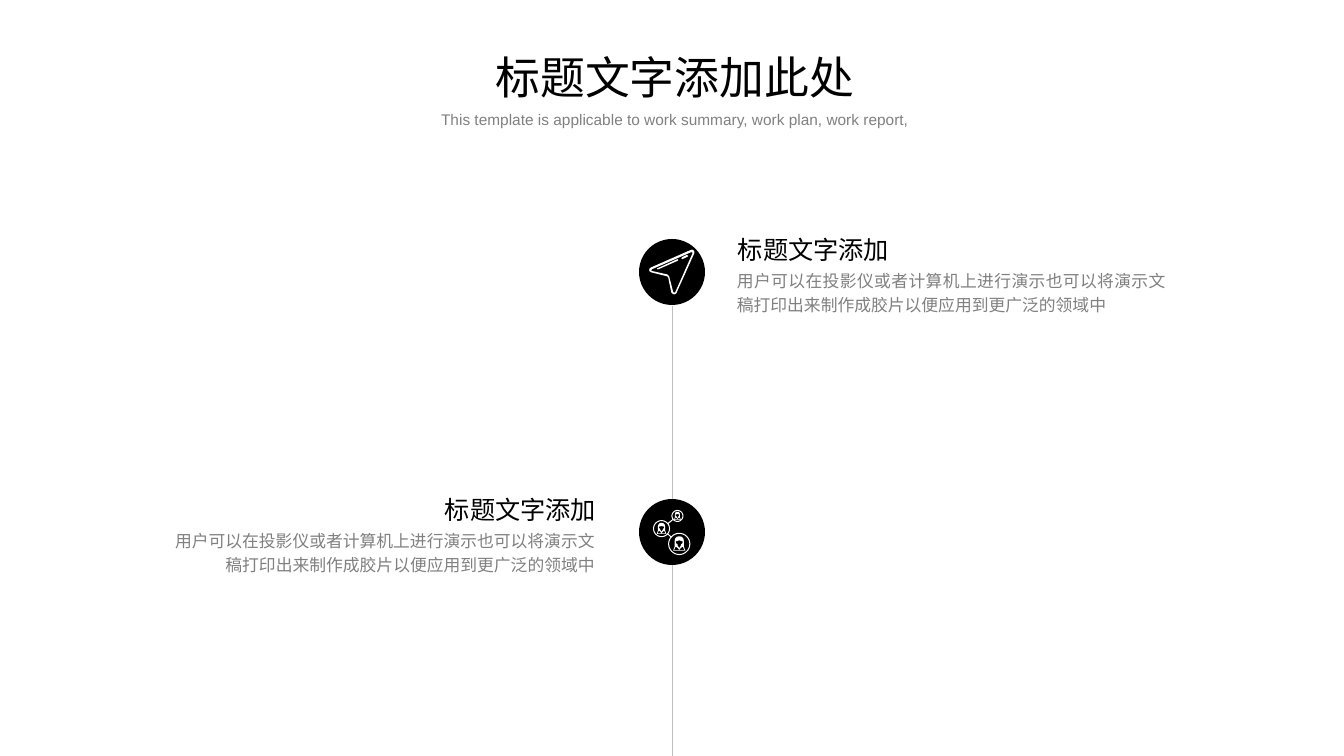
import math
from itertools import combinations

from lxml import etree
from pptx import Presentation
from pptx import util as u
from pptx.dml.color import RGBColor
from pptx.enum import shapes, text
from pptx.oxml.ns import qn

PX = 914400 / 100.8
WIDTH, HEIGHT = 1344, 756
FONT = "Arial"
COLORS = {"ink": "000000", "paper": "FFFFFF", "muted": "808080", "line": "BFBFBF"}
ALIGN = text.PP_ALIGN

AXIS = 672
MARKER = 66
HEADING = "标题文字添加"
BODY = "用户可以在投影仪或者计算机上进行演示也可以将演示文稿打印出来制作成胶片以便应用到更广泛的领域中"

# Icons are counted in tenths of a px from the corner of their marker
ICON_UNIT = 0.1
PLANE = [
    [(514, 111), (529, 106), (544, 111), (554, 124), (554, 141), (373, 544),
     (355, 554), (337, 549), (323, 534), (292, 383), (282, 373), (121, 333),
     (106, 322), (101, 310), (106, 296), (121, 284)],
    [(524, 131), (131, 302), (121, 312), (131, 320), (282, 354), (302, 373),
     (343, 532), (353, 536), (363, 532), (536, 142), (534, 133)],
    [(383, 202), (393, 207), (391, 216), (192, 304), (182, 302), (182, 294)],
    [(474, 161), (492, 164), (492, 174), (433, 202), (424, 194), (431, 183)],
]

# Centre x, centre y and radius
RINGS = [(385, 170, 60), (226, 297, 85), (403, 450, 111)]
STROKE = 10

# Portrait contours in percent of the ring's diameter, from its centre
PORTRAIT = [
    [(-29, 32), (-22, 12), (-22, -15), (-19, -26), (-11, -34), (0, -36),
     (11, -34), (19, -26), (22, -15), (22, 12), (29, 32)],
    [(-17, -12), (0, -17), (17, -12), (15, -3), (8, 2), (8, 7), (0, 20),
     (-8, 7), (-8, 2), (-15, -3)],
    [(-17, 13), (-10, 17), (0, 28), (10, 17), (17, 13), (24, 29), (-24, 29)],
]


def px(length):
    return u.Emu(round(length * PX))


def color(name):
    return RGBColor.from_string(COLORS[name])


def write_text(shape, words, size, ink="ink", align=ALIGN.CENTER, spacing=1.2, wrap=True):
    frame = shape.text_frame
    frame.word_wrap = wrap
    frame.auto_size = text.MSO_AUTO_SIZE.NONE
    frame.vertical_anchor = text.MSO_ANCHOR.TOP
    paragraph = frame.paragraphs[0]
    paragraph.alignment = align
    paragraph.line_spacing = spacing
    run = paragraph.add_run()
    run.text = words
    run.font.size = u.Pt(size)
    run.font.name = FONT
    run.font.color.rgb = color(ink)


def add_text(slide, left, top, width, height, words, size, **style):
    box = slide.shapes.add_textbox(px(left), px(top), px(width), px(height))
    write_text(box, words, size, **style)


def fill_plain(shape, fill):
    shape.shadow.inherit = False
    shape.fill.solid()
    shape.fill.fore_color.rgb = color(fill)
    shape.line.fill.background()


def add_icon(slide, left, top, contours):
    """Fill nested contours as one shape; inner ones cut holes."""
    builder = slide.shapes.build_freeform(*contours[0][0], scale=ICON_UNIT * PX)
    for number, contour in enumerate(contours):
        if number:
            builder.move_to(*contour[0])
        builder.add_line_segments(contour[1:], close=True)
    fill_plain(builder.convert_to_shape(px(left), px(top)), "paper")


def circle_points(x, y, radius, count=32):
    angles = [math.tau * step / count for step in range(count)]
    return [(x + radius * math.cos(a), y + radius * math.sin(a)) for a in angles]


def link_points(first, second):
    """Outline a bar along the line of centres, from rim to rim."""
    (x1, y1, r1), (x2, y2, r2) = first, second
    length = math.dist((x1, y1), (x2, y2))
    dx, dy = (x2 - x1) / length, (y2 - y1) / length
    half = STROKE / 2
    return [(x1 + dx * along - dy * across, y1 + dy * along + dx * across)
            for along, across in ((r1, half), (length - r2, half),
                                  (length - r2, -half), (r1, -half))]


def network_contours():
    contours = []
    for x, y, radius in RINGS:
        contours += [circle_points(x, y, radius), circle_points(x, y, radius - STROKE)]
        scale = radius * 0.019
        contours += [[(x + a * scale, y + b * scale) for a, b in part]
                     for part in PORTRAIT]
    small, middle, large = RINGS
    contours += [link_points(small, middle), link_points(middle, large)]
    return contours


def draw_header(slide, left, top, width):
    title = slide.shapes.title
    title.left, title.top, title.width, title.height = map(
        px, (left + 118, top, width - 236, 65))
    write_text(title, "标题文字添加此处", 32, spacing=1, wrap=False)
    add_text(slide, left, top + 56, width, 30,
             "This template is applicable to work summary, work plan, work report,",
             11, ink="muted")


def draw_axis(slide, top, bottom):
    axis = slide.shapes.add_connector(
        shapes.MSO_CONNECTOR.STRAIGHT, *map(px, (AXIS, top, AXIS, bottom)))
    axis.line.color.rgb = color("line")
    axis.line.width = u.Pt(0.5)
    etree.SubElement(axis._element.spPr, qn("a:effectLst"))


def draw_milestone(slide, top, icon, on_right):
    left = AXIS - MARKER // 2
    marker = slide.shapes.add_shape(
        shapes.MSO_SHAPE.OVAL, px(left), px(top), px(MARKER), px(MARKER))
    fill_plain(marker, "ink")
    add_icon(slide, left, top, icon)
    align = ALIGN.JUSTIFY if on_right else ALIGN.RIGHT
    for shift, offset, width, height, words, size, ink in (
            (-1, 23, 449, 59, BODY, 12, "muted"), (0, -16, 247, 44, HEADING, 18, "ink")):
        text_left = AXIS + 56 if on_right else AXIS - 66 - width
        add_text(slide, text_left + shift, top + offset, width, height, words, size,
                 ink=ink, align=align)


def main():
    presentation = Presentation()
    presentation.slide_width, presentation.slide_height = px(WIDTH), px(HEIGHT)
    slide = presentation.slides.add_slide(presentation.slide_layouts[5])
    draw_header(slide, 366, 45, 618)
    draw_axis(slide, 306, HEIGHT)
    draw_milestone(slide, 239, PLANE, on_right=True)
    draw_milestone(slide, 499, network_contours(), on_right=False)
    presentation.save("out.pptx")


if __name__ == "__main__":
    main()
